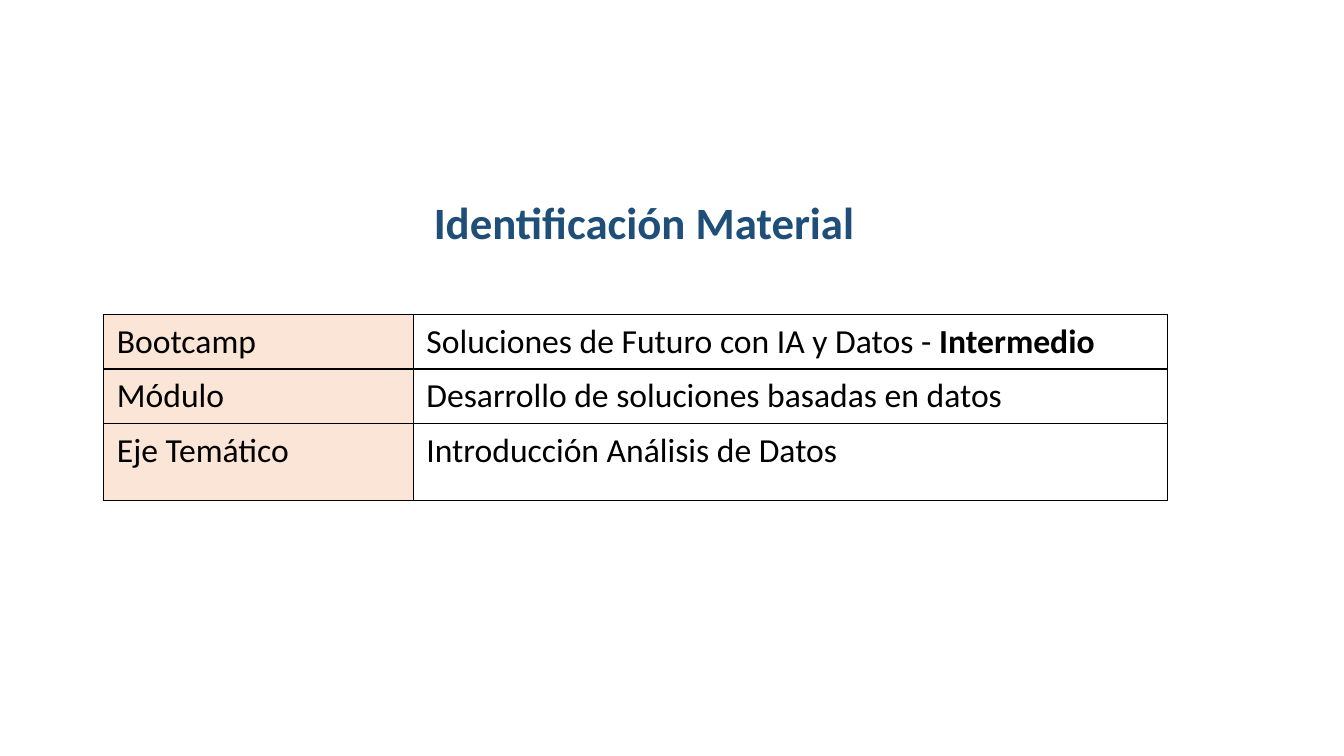
from lxml import etree
from pptx import Presentation
from pptx.dml.color import RGBColor
from pptx.enum.text import MSO_AUTO_SIZE, PP_ALIGN
from pptx.oxml import parse_xml
from pptx.oxml.ns import nsdecls
from pptx.util import Inches, Pt

FONT = "Calibri"
BLUE = RGBColor(0x1F, 0x4E, 0x79)
PEACH = RGBColor(0xFB, 0xE5, 0xD6)
BLACK = RGBColor(0, 0, 0)

COLUMN_WIDTHS = [3.07, 7.48]
ROW_HEIGHTS = [0.53, 0.53, 0.77]
# Each cell is a list of (text, bold) runs
ROWS = [
    [[("Bootcamp", False)],
     [("Soluciones de Futuro con IA y Datos - ", False), ("Intermedio", True)]],
    [[("Módulo", False)], [("Desarrollo de soluciones basadas en datos", False)]],
    [[("Eje Temático", False)], [("Introducción Análisis de Datos", False)]],
]


def style_font(paragraph, size, color):
    paragraph.font.name = FONT
    paragraph.font.size = Pt(size)
    paragraph.font.color.rgb = color


def add_borders(cell):
    properties = cell._tc.get_or_add_tcPr()
    for position, side in enumerate(("lnL", "lnR", "lnT", "lnB")):
        properties.insert(position, parse_xml(
            f'<a:{side} {nsdecls("a")} w="{Pt(1)}"><a:solidFill>'
            f'<a:srgbClr val="{BLACK}"/></a:solidFill></a:{side}>'))


presentation = Presentation()
presentation.slide_width = Inches(13.33)
presentation.slide_height = Inches(7.5)
slide = presentation.slides.add_slide(presentation.slide_layouts[6])

# Title
title = slide.shapes.add_textbox(Inches(4.18), Inches(1.88), Inches(4.42), Inches(0.64))
title.text_frame.word_wrap = False
title.text_frame.auto_size = MSO_AUTO_SIZE.SHAPE_TO_FIT_TEXT
paragraph = title.text_frame.paragraphs[0]
paragraph.text = "Identificación Material"
paragraph.alignment = PP_ALIGN.CENTER
style_font(paragraph, 32, BLUE)
paragraph.font.bold = True

# Identification table
table = slide.shapes.add_table(
    len(ROWS), len(COLUMN_WIDTHS), Inches(1.03), Inches(3.12),
    Inches(sum(COLUMN_WIDTHS)), Inches(sum(ROW_HEIGHTS))).table
table.first_row = False
table.horz_banding = False
for column, width in zip(table.columns, COLUMN_WIDTHS):
    column.width = Inches(width)
for row, height in zip(table.rows, ROW_HEIGHTS):
    row.height = Inches(height)

for row, contents in zip(table.rows, ROWS):
    for column_index, (cell, runs) in enumerate(zip(row.cells, contents)):
        cell.margin_left = cell.margin_right = Inches(0.13)
        cell.margin_top = cell.margin_bottom = Inches(0.07)
        if column_index == 0:
            cell.fill.solid()
            cell.fill.fore_color.rgb = PEACH
        else:
            cell.fill.background()
        add_borders(cell)
        paragraph = cell.text_frame.paragraphs[0]
        style_font(paragraph, 24, BLACK)
        for text, bold in runs:
            run = paragraph.add_run()
            run.text = text
            run.font.bold = bold

presentation.save("out.pptx")
